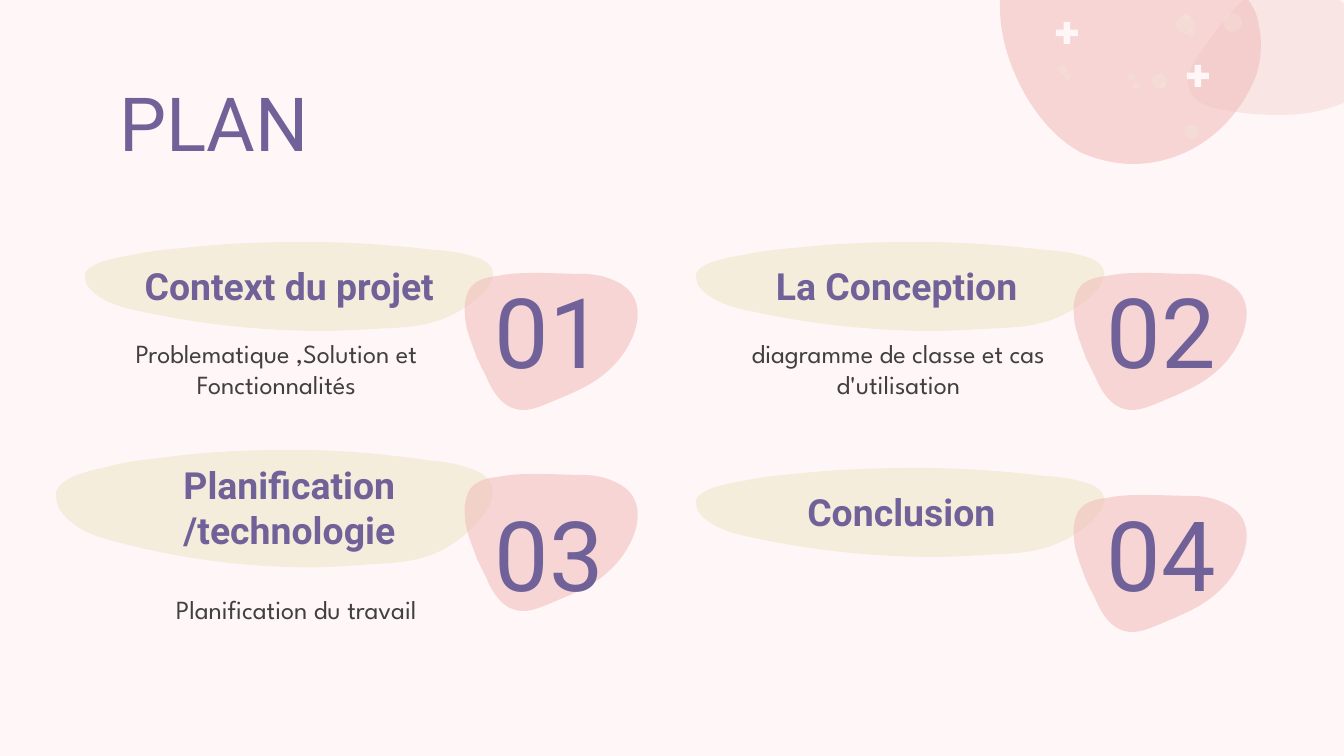
from dataclasses import dataclass

from lxml import etree
from pptx import Presentation
from pptx.dml.color import RGBColor
from pptx.enum import shapes, text
from pptx.oxml.ns import qn
from pptx.util import Pt

EMU_PER_PX = 914400 / 134.4


@dataclass(frozen=True)
class Theme:
    background: str = "FFF7F7"
    rose: str = "F1BDBC"
    blush: str = "F5CFCF"
    cream: str = "F5EDDC"
    purple: str = "706199"
    ink: str = "413F3F"
    title_font: str = "Roboto"
    body_font: str = "League Spartan"
    title_size: int = 40
    number_size: int = 52
    heading_size: int = 20
    caption_size: int = 14


THEME = Theme()

# Outlines in px: a start point, then cubic curves (two controls and an end)
OVAL = [
    (223, 0),
    (184, 0), (146, 1), (108, 5), (89, 7), (69, 8), (47, 13),
    (35, 15), (4, 20), (0, 32), (0, 39), (1, 43), (5, 47),
    (20, 63), (44, 67), (63, 71), (121, 83), (179, 89), (238, 89),
    (261, 89), (284, 87), (308, 86), (327, 85), (349, 83), (371, 71),
    (379, 67), (399, 54), (406, 40), (410, 32), (409, 23), (396, 17),
    (380, 11), (366, 9), (349, 8), (308, 3), (265, 0), (223, 0),
]
DROP = [
    (74, 0),
    (60, 0), (47, 0), (34, 3), (23, 4), (9, 7), (4, 19),
    (1, 26), (0, 34), (1, 42), (1, 55), (8, 71), (13, 85),
    (16, 91), (19, 98), (22, 103), (28, 118), (39, 137), (59, 137),
    (69, 137), (77, 133), (85, 130), (106, 121), (128, 113), (145, 97),
    (171, 74), (192, 24), (149, 7), (140, 3), (129, 1), (120, 1),
    (105, 1), (90, 0), (74, 0),
]
LARGE_BLOB = [
    (99, 0),
    (94, 0), (89, 0), (83, 0), (74, 1), (65, 1), (55, 3),
    (34, 7), (19, 11), (9, 22), (5, 26), (3, 34), (0, 42),
    (0, 47), (0, 52), (0, 59), (0, 112), (35, 180), (82, 204),
    (98, 211), (116, 215), (133, 215), (180, 215), (228, 188), (253, 134),
    (261, 117), (263, 95), (259, 77), (258, 71), (257, 66), (254, 60),
    (241, 35), (212, 20), (185, 12), (157, 4), (128, 0), (99, 0),
]
SMALL_BLOB = [
    (94, 0),
    (65, 3), (28, 52), (11, 78), (5, 86), (0, 97), (0, 106),
    (1, 113), (4, 121), (13, 126), (22, 130), (30, 133), (38, 133),
    (55, 137), (73, 138), (91, 138), (117, 138), (141, 134), (164, 122),
    (175, 117), (185, 109), (188, 97), (191, 86), (188, 77), (184, 69),
    (184, 65), (181, 62), (180, 59), (164, 28), (132, 0), (94, 0),
]

# Oval place and stretch, drop place
OVALS = [(85, 242, 1, 1), (696, 242, 1, 1), (56, 450, 1.07, 1.32), (696, 468, 1, 1)]
DROPS = [(464, 273), (1073, 273), (464, 474), (1073, 495)]

# Text and its box: left, top, width, height
NUMBERS = [
    (f"{row * 2 + column + 1:02}", (473 + 612 * column, 281 + 223 * row, 153, 97))
    for row in range(2) for column in range(2)
]
HEADINGS = [
    ("Context du projet", (106, 247, 367, 78)),
    ("La Conception ", (718, 247, 367, 78)),
    ("Planification /technologie", (86, 468, 407, 78)),
    ("Conclusion", (718, 473, 367, 78)),
]
CAPTIONS = [
    ("Problematique ,Solution et Fonctionnalités", (106, 333, 341, 71)),
    ("diagramme de classe et cas d'utilisation", (728, 333, 341, 71)),
    ("Planification du travail", (126, 574, 341, 71)),
]

# Dots: left, top, diameter
DOTS = [
    (1223, 13, 19), (1133, 82, 7), (1059, 65, 9), (1064, 73, 7),
    (1152, 73, 15), (1160, 82, 7), (1176, 15, 19), (1188, 30, 7),
    (1183, 13, 7), (1128, 73, 7), (1184, 124, 15),
]
PLUSES = [(1187, 65), (1056, 22)]
PLUS_SIZE = 22


def px(length):
    return round(length * EMU_PER_PX)


def paint(shape, color, opacity=100):
    shape.shadow.inherit = False
    shape.line.fill.background()
    shape.fill.solid()
    shape.fill.fore_color.rgb = RGBColor.from_string(color)
    if opacity < 100:
        color_node = shape.fill._xPr.find(qn("a:solidFill"))[0]
        etree.SubElement(color_node, qn("a:alpha"), val=str(opacity * 1000))


def curve_segments(shape):
    """Join each three straight segments into one cubic curve."""
    segments = list(shape._element.iter(qn("a:lnTo")))
    for index in range(0, len(segments), 3):
        curve, *others = segments[index:index + 3]
        for other in others:
            curve.append(other[0])
            other.getparent().remove(other)
        curve.tag = qn("a:cubicBezTo")


def add_blob(slide, outline, left, top, color, opacity=100, stretch=(1, 1)):
    points = [
        (px(left + x * stretch[0]), px(top + y * stretch[1])) for x, y in outline
    ]
    builder = slide.shapes.build_freeform(*points[0], scale=1.0)
    builder.add_line_segments(points[1:], close=True)
    blob = builder.convert_to_shape()
    curve_segments(blob)
    paint(blob, color, opacity)


def add_preset(slide, kind, left, top, size, color, opacity=100):
    shape = slide.shapes.add_shape(kind, px(left), px(top), px(size), px(size))
    paint(shape, color, opacity)
    return shape


def write(shape, words, size, font, color, bold=False, align=text.PP_ALIGN.CENTER):
    frame = shape.text_frame
    frame.word_wrap = True
    frame.auto_size = text.MSO_AUTO_SIZE.NONE
    frame.vertical_anchor = text.MSO_ANCHOR.MIDDLE
    frame.margin_left = frame.margin_right = px(13)
    frame.margin_top = frame.margin_bottom = px(13)
    paragraph = frame.paragraphs[0]
    paragraph.alignment = align
    run = paragraph.add_run()
    run.text = words
    run.font.size = Pt(size)
    run.font.name = font
    run.font.bold = bold
    run.font.color.rgb = RGBColor.from_string(color)


def add_label(slide, words, box, *style, bold=False):
    write(slide.shapes.add_textbox(*map(px, box)), words, *style, bold=bold)


def set_title(slide, words, box):
    title = slide.shapes.title
    title.left, title.top, title.width, title.height = map(px, box)
    write(title, words, THEME.title_size, THEME.title_font, THEME.purple,
          align=text.PP_ALIGN.LEFT)


def main():
    presentation = Presentation()
    presentation.slide_width, presentation.slide_height = px(1344), px(756)
    slide = presentation.slides.add_slide(presentation.slide_layouts[5])
    slide.background.fill.solid()
    slide.background.fill.fore_color.rgb = RGBColor.from_string(THEME.background)
    set_title(slide, "PLAN", (106, 79, 1133, 85))

    # Corner decoration
    add_blob(slide, SMALL_BLOB, 1188, -23, THEME.blush, 44)
    add_blob(slide, LARGE_BLOB, 1000, -51, THEME.rose, 58)
    for left, top, size in DOTS:
        add_preset(slide, shapes.MSO_SHAPE.OVAL, left, top, size, THEME.cream, 26)
    for left, top in PLUSES:
        plus = add_preset(slide, shapes.MSO_SHAPE.CROSS, left, top, PLUS_SIZE,
                          THEME.background)
        plus.adjustments[0] = 0.35

    # Backgrounds of the four sections
    for left, top, *stretch in OVALS:
        add_blob(slide, OVAL, left, top, THEME.cream, stretch=stretch)
    for left, top in DROPS:
        add_blob(slide, DROP, left, top, THEME.rose, 58)

    # Section texts
    for words, box in NUMBERS:
        add_label(slide, words, box, THEME.number_size, THEME.title_font, THEME.purple)
    for words, box in HEADINGS:
        add_label(slide, words, box, THEME.heading_size, THEME.title_font,
                  THEME.purple, bold=True)
    for words, box in CAPTIONS:
        add_label(slide, words, box, THEME.caption_size, THEME.body_font, THEME.ink)

    presentation.save("out.pptx")


if __name__ == "__main__":
    main()
